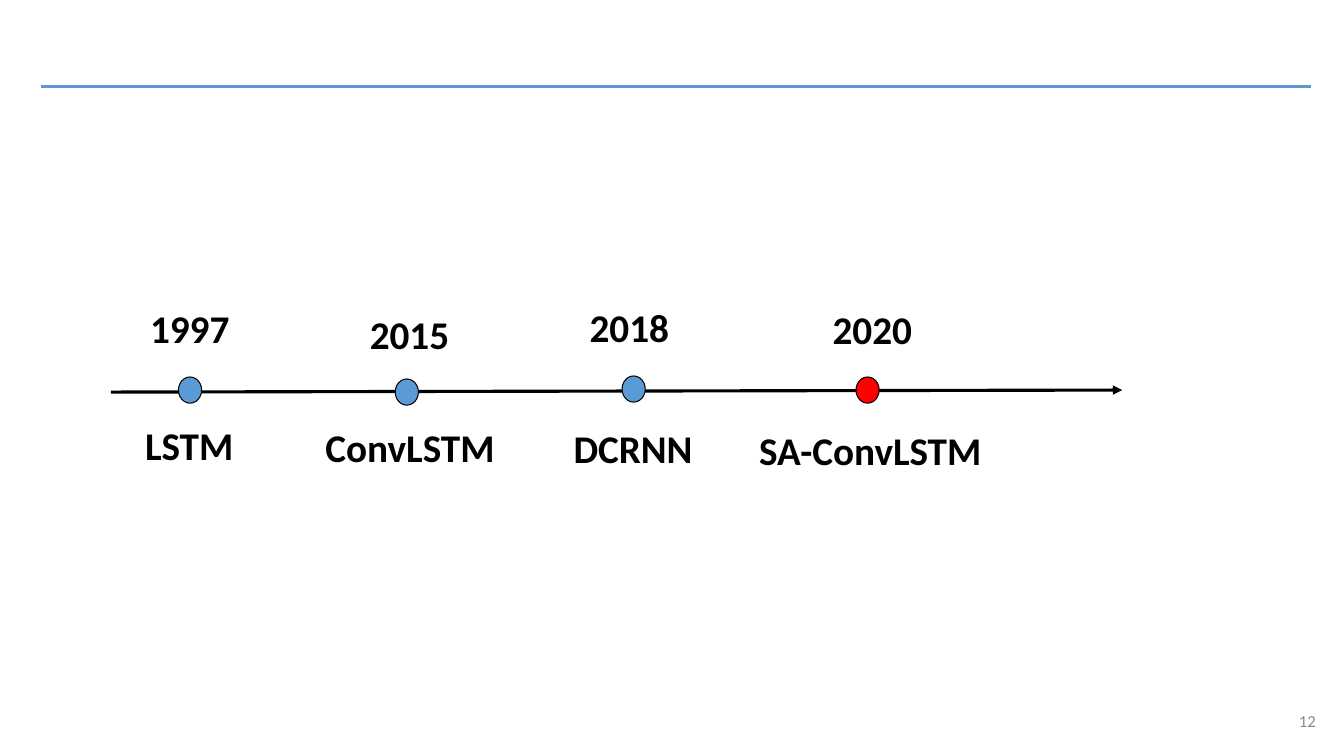
from dataclasses import dataclass

from lxml import etree
from pptx import Presentation
from pptx.dml.color import RGBColor
from pptx.enum.shapes import MSO_CONNECTOR, MSO_SHAPE
from pptx.enum.text import MSO_ANCHOR, MSO_AUTO_SIZE, PP_ALIGN
from pptx.oxml.ns import qn
from pptx.slide import Slide
from pptx.util import Inches, Pt

STRAIGHT = MSO_CONNECTOR.STRAIGHT
OVAL = MSO_SHAPE.OVAL
TOP, MIDDLE = MSO_ANCHOR.TOP, MSO_ANCHOR.MIDDLE
LEFT, RIGHT = PP_ALIGN.LEFT, PP_ALIGN.RIGHT
GROW, FIXED = MSO_AUTO_SIZE.SHAPE_TO_FIT_TEXT, MSO_AUTO_SIZE.NONE

COLORS = {"blue": "5B9BD5", "red": "FF0000", "black": "000000", "gray": "898989"}
LABEL_FONT = {"name": "Calibri", "size": Pt(28), "bold": True}
NUMBER_FONT = {"name": "Calibri", "size": Pt(12), "bold": False}
LABEL_HEIGHT = 0.57
YEAR_WIDTH = 1.47
DOT_WIDTH, DOT_HEIGHT = 0.23, 0.26


@dataclass
class Label:
    text: str
    left: float
    top: float
    width: float
    height: float = LABEL_HEIGHT


@dataclass
class Milestone:
    year: Label
    model: Label
    dot_left: float
    dot_top: float
    color: str = "blue"


@dataclass
class Rule:
    start: tuple[float, float]
    end: tuple[float, float]
    color: str
    arrow: bool = False


HEADER_RULE = Rule((0.41, 0.86), (13, 0.86), "blue")
TIME_AXIS = Rule((1.1, 3.89), (11.13, 3.87), "black", arrow=True)
PAGE_NUMBER = Label("12", 10.15, 6.95, 3, 0.4)
MILESTONES = [
    Milestone(Label("1997", 1.39, 2.97, YEAR_WIDTH),
              Label("LSTM", 1.34, 4.13, 1.2), 1.77, 3.74),
    Milestone(Label("2015", 3.57, 3.03, YEAR_WIDTH),
              Label("ConvLSTM", 3.13, 4.15, 2.04), 3.92, 3.76),
    Milestone(Label("2018", 5.75, 2.96, YEAR_WIDTH),
              Label("DCRNN", 5.59, 4.16, 1.63), 6.17, 3.73),
    Milestone(Label("2020", 8.16, 2.98, YEAR_WIDTH),
              Label("SA-ConvLSTM", 7.43, 4.18, 2.61), 8.49, 3.74, "red"),
]


def rgb(color: str) -> RGBColor:
    return RGBColor.from_string(COLORS[color])


def draw_rule(slide: Slide, rule: Rule) -> None:
    ends = [Inches(value) for value in (*rule.start, *rule.end)]
    connector = slide.shapes.add_connector(STRAIGHT, *ends)
    connector.line.color.rgb = rgb(rule.color)
    connector.line.width = Pt(2.25)
    if rule.arrow:
        line_xml = connector.line._get_or_add_ln()
        etree.SubElement(line_xml, qn("a:tailEnd"), type="triangle")
    etree.SubElement(connector._element.spPr, qn("a:effectLst"))


def draw_label(slide: Slide, label: Label, font_format: dict, color: str = "black",
               align: PP_ALIGN = LEFT, anchor: MSO_ANCHOR = TOP,
               auto_size: MSO_AUTO_SIZE = GROW) -> None:
    box = slide.shapes.add_textbox(Inches(label.left), Inches(label.top),
                                   Inches(label.width), Inches(label.height))
    frame_format = {"word_wrap": True, "auto_size": auto_size, "vertical_anchor": anchor}
    for name, value in frame_format.items():
        setattr(box.text_frame, name, value)
    paragraph = box.text_frame.paragraphs[0]
    paragraph.alignment = align
    run = paragraph.add_run()
    run.text = label.text
    for name, value in font_format.items():
        setattr(run.font, name, value)
    run.font.color.rgb = rgb(color)


def draw_milestone(slide: Slide, milestone: Milestone) -> None:
    dot = slide.shapes.add_shape(OVAL, Inches(milestone.dot_left), Inches(milestone.dot_top),
                                 Inches(DOT_WIDTH), Inches(DOT_HEIGHT))
    dot.shadow.inherit = False
    dot.fill.solid()
    dot.fill.fore_color.rgb = rgb(milestone.color)
    dot.line.color.rgb = rgb("black")
    dot.line.width = Pt(0.75)
    for label in (milestone.year, milestone.model):
        draw_label(slide, label, LABEL_FONT)


def main() -> None:
    presentation = Presentation()
    presentation.slide_width = Inches(13.33)
    presentation.slide_height = Inches(7.5)
    slide = presentation.slides.add_slide(presentation.slide_layouts[6])
    draw_rule(slide, HEADER_RULE)
    draw_label(slide, PAGE_NUMBER, NUMBER_FONT, "gray", RIGHT, MIDDLE, FIXED)
    draw_rule(slide, TIME_AXIS)
    for milestone in MILESTONES:
        draw_milestone(slide, milestone)
    presentation.save("out.pptx")


if __name__ == "__main__":
    main()
